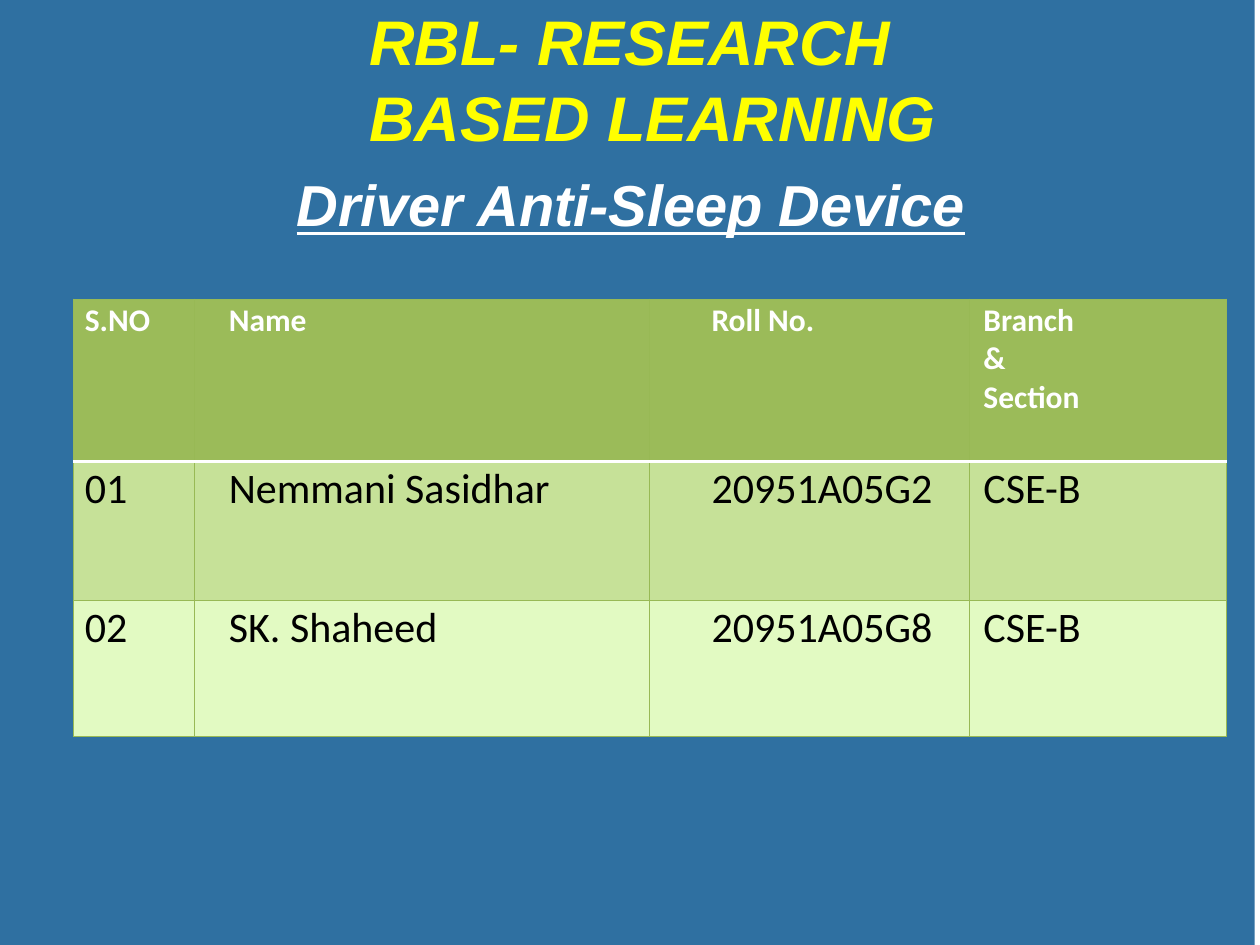
from pptx import Presentation
from pptx.dml.color import RGBColor
from pptx.enum.shapes import MSO_SHAPE
from pptx.enum.text import MSO_ANCHOR, PP_ALIGN
from pptx.oxml.ns import qn
from pptx.util import Pt
from lxml.etree import SubElement

BLUE = RGBColor(0x2F, 0x70, 0xA1)
YELLOW = RGBColor(0xFF, 0xFF, 0x00)
WHITE = RGBColor(0xFF, 0xFF, 0xFF)
BLACK = RGBColor(0x00, 0x00, 0x00)
HEADER_GREEN = RGBColor(0x9B, 0xBB, 0x59)
BAND_GREENS = [RGBColor(0xC6, 0xE1, 0x98), RGBColor(0xE2, 0xFA, 0xC2)]
BORDER_GREEN = RGBColor(0x98, 0xB9, 0x55)

ROWS = [
    ["S.NO", "Name", "Roll No.", "Branch & Section"],
    ["01", "Nemmani Sasidhar", "20951A05G2", "CSE-B"],
    ["02", "SK. Shaheed", "20951A05G8", "CSE-B"],
]
COL_WIDTHS = [69.3, 260, 182.7, 147]
ROW_HEIGHTS = [92.8, 79.2, 78]
INDENTS = [6.5, 19.5, 35.3, 8]


def add_background(s, x, y, w, h):
    sp = s.shapes.add_shape(MSO_SHAPE.RECTANGLE, Pt(x), Pt(y), Pt(w), Pt(h))
    sp.shadow.inherit = False
    sp.fill.solid()
    sp.fill.fore_color.rgb = BLUE
    sp.line.fill.background()
    s.shapes._spTree.insert(2, sp._element)  # send to back


def set_heading(sp, text, box, size, color, top=0.7, underline=None):
    sp.left, sp.top, sp.width, sp.height = (Pt(v) for v in box)
    tf = sp.text_frame
    tf.word_wrap = True
    tf.vertical_anchor = MSO_ANCHOR.TOP
    tf.margin_left = tf.margin_right = tf.margin_bottom = 0
    tf.margin_top = Pt(top)
    tf.text = text
    p = tf.paragraphs[0]
    p.alignment = PP_ALIGN.LEFT
    p.space_before = Pt(1)
    f = p.font
    f.name, f.size, f.color.rgb = "Arial", Pt(size), color
    f.bold = f.italic = True
    f.underline = underline


def set_border(cell, side, color, width):
    ln = SubElement(cell._tc.get_or_add_tcPr(), qn(f"a:ln{side}"), w=str(Pt(width)))
    fill = SubElement(ln, qn("a:solidFill"))
    SubElement(fill, qn("a:srgbClr"), val=str(color))


def set_cell(cell, text, row, col):
    header = row == 0
    # Borders: a white rule parts the header from the body
    for side in "LRTB":
        rule = (header and side == "B") or (row == 1 and side == "T")
        set_border(cell, side, WHITE if rule else BORDER_GREEN, 2 if rule else 0.75)
    cell.fill.solid()
    cell.fill.fore_color.rgb = HEADER_GREEN if header else BAND_GREENS[row - 1]
    # Text: the last heading is kept narrow so that it breaks at each word
    cell.margin_left = Pt(INDENTS[col])
    cell.margin_right = Pt(80 if header and col == 3 else 0)
    cell.margin_top, cell.margin_bottom = Pt(1.2), 0
    cell.text = text
    p = cell.text_frame.paragraphs[0]
    p.space_before = Pt(1.5 if header else 0.6)
    f = p.font
    f.name, f.size, f.bold = "Calibri", Pt(18 if header else 24), header
    f.color.rgb = WHITE if header else BLACK


def add_student_table(s, x, y, w, h):
    tbl = s.shapes.add_table(len(ROWS), len(COL_WIDTHS), Pt(x), Pt(y), Pt(w), Pt(h)).table
    for column, width in zip(tbl.columns, COL_WIDTHS):
        column.width = Pt(w * width / sum(COL_WIDTHS))
    for r, texts in enumerate(ROWS):
        tbl.rows[r].height = Pt(h * ROW_HEIGHTS[r] / sum(ROW_HEIGHTS))
        for c, text in enumerate(texts):
            set_cell(tbl.cell(r, c), text, r, c)


def main():
    prs = Presentation()
    prs.slide_width, prs.slide_height = Pt(720), Pt(540)
    s = prs.slides.add_slide(prs.slide_layouts[5])
    add_background(s, 0, 0, 717, 540)
    # Title and topic
    set_heading(s.shapes.title, "RBL- RESEARCH BASED LEARNING",
                (211, -1.5, 381, 132), 36, YELLOW, top=3)
    topic = s.shapes.add_textbox(0, 0, 0, 0)
    set_heading(topic, "Driver Anti-Sleep Device",
                (169.5, 96, 390, 42), 33, WHITE, underline=True)
    add_student_table(s, 42, 171, 659, 250)
    prs.save("out.pptx")


if __name__ == "__main__":
    main()
